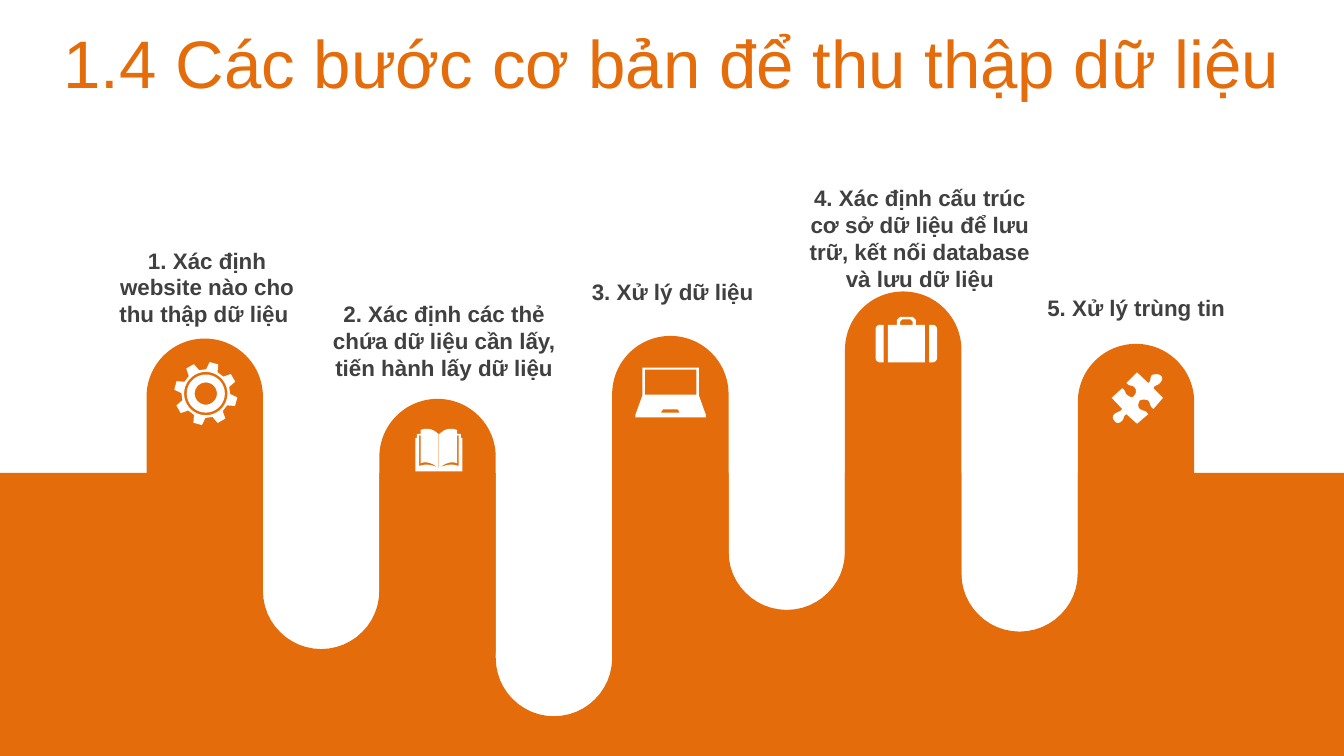
from math import cos, radians, sin

from pptx import Presentation
from pptx.dml.color import RGBColor
from pptx.enum.shapes import MSO_SHAPE as Preset
from pptx.enum.text import MSO_ANCHOR as Anchor, MSO_AUTO_SIZE as AutoSize, PP_ALIGN as Align
from pptx.util import Cm, Pt

ORANGE, WHITE, GREY = "E46C0A", "FFFFFF", "404040"
WIDTH, HEIGHT, HORIZON = 25.4, 14.29, 8.94
COLUMN, FIRST_PILLAR = 2.2, 2.77
PILLARS = [(6.4, 5.79), (7.54, 5.79), (6.35, 5.79), (5.51, 7.04), (6.5, 7.04)]
VALLEY_BOTTOMS = [12.27, 13.54, 11.53, 11.94]
TITLE = "1.4 Các bước cơ bản để thu thập dữ liệu"
STEPS = [
    ("1. Xác định website nào cho thu thập dữ liệu ", 1.91, 4.5, 4.01, 1.85),
    ("2. Xác định các thẻ chứa dữ liệu cần lấy, tiến hành lấy dữ liệu", 6.02, 5.54, 4.75, 1.8),
    ("3. Xử lý dữ liệu", 10.34, 5.13, 4.75, 0.76),
    ("4. Xác định cấu trúc cơ sở dữ liệu để lưu trữ, kết nối database và lưu dữ liệu",
     15.01, 3.35, 4.75, 2.31),
    ("5. Xử lý trùng tin", 19.1, 5.44, 4.75, 0.76),
]


def color(code):
    """Turn a hex string into a colour."""
    return RGBColor.from_string(code)


def paint(shape, fill):
    """Give a shape a plain fill without line or shadow."""
    shape.shadow.inherit = False
    shape.fill.solid()
    shape.fill.fore_color.rgb = color(fill)
    shape.line.fill.background()


def add_preset(shapes, preset, left, top, width, height, fill):
    """Add a plain preset shape."""
    shape = shapes.add_shape(preset, Cm(left), Cm(top), Cm(width), Cm(height))
    paint(shape, fill)
    return shape


def flatten(contour):
    """Sample the cubic curves, written as six numbers, of a contour."""
    points = []
    for step in contour:
        if len(step) == 2:
            points.append(step)
            continue
        corners = [points[-1], step[:2], step[2:4], step[4:]]
        for t in (k / 12 for k in range(1, 13)):
            weights = ((1 - t) ** 3, 3 * t * (1 - t) ** 2, 3 * t * t * (1 - t), t ** 3)
            points.append(tuple(sum(w * corner[axis] for w, corner in zip(weights, corners))
                                for axis in (0, 1)))
    return points


def add_outline(shapes, left, top, contours, fill):
    """Add a freeform whose inner contours are holes."""
    builder = None
    for contour in contours:
        first, *rest = [(Cm(left + x), Cm(top + y)) for x, y in flatten(contour)]
        if builder is None:
            builder = shapes.build_freeform(*first, scale=1.0)
        else:
            builder.move_to(*first)
        builder.add_line_segments(rest, close=True)
    paint(builder.convert_to_shape(), fill)


def mirror(contour, width):
    """Reflect a contour from left to right."""
    return [tuple(width - value if index % 2 == 0 else value for index, value in enumerate(step))
            for step in contour]


def polar(radius, degrees):
    """Return the point at an angle clockwise from the top."""
    return radius * sin(radians(degrees)), -radius * cos(radians(degrees))


def add_label(slide, words, left, top, width, height, auto_size=AutoSize.NONE, **font_values):
    """Add a centred text box."""
    box = slide.shapes.add_textbox(Cm(left), Cm(top), Cm(width), Cm(height))
    frame_values = {"word_wrap": True, "auto_size": auto_size, "vertical_anchor": Anchor.MIDDLE}
    for name, value in frame_values.items():
        setattr(box.text_frame, name, value)
    paragraph = box.text_frame.paragraphs[0]
    paragraph.alignment = Align.CENTER
    run = paragraph.add_run()
    run.text = words
    run.font.color.rgb = color(font_values.pop("ink"))
    for name, value in {"name": "Arial", **font_values}.items():
        setattr(run.font, name, value)


def add_ground(shapes):
    """Add the ground with a rounded valley between neighbouring pillars."""
    radius, pull = COLUMN / 2, 0.45 * COLUMN / 2
    contour = [(0, 0)]
    for index, bottom in enumerate(VALLEY_BOTTOMS):
        left = FIRST_PILLAR + COLUMN * (2 * index + 1)
        right, middle, depth = left + COLUMN, left + radius, bottom - HORIZON
        bend = depth - radius
        contour += [(left, 0), (left, bend),
                    (left, depth - pull, left + pull, depth, middle, depth),
                    (right - pull, depth, right, depth - pull, right, bend), (right, 0)]
    contour += [(WIDTH, 0), (WIDTH, HEIGHT - HORIZON), (0, HEIGHT - HORIZON)]
    add_outline(shapes, 0, HORIZON, [contour], ORANGE)


def add_pillar(shapes, left, top, height):
    """Add a round-ended pillar with its icon disc as a group."""
    group = shapes.add_group_shape()
    pillar = add_preset(group.shapes, Preset.ROUNDED_RECTANGLE, left, top, COLUMN, height, ORANGE)
    pillar.adjustments[0] = 0.5
    add_preset(group.shapes, Preset.OVAL, left + 0.17, top + 0.16, 1.85, 1.85, ORANGE)


def gear():
    """Return the contours of an eight-toothed gear around its centre."""
    teeth = [polar(radius, 15 + 45 * tooth + turn) for tooth in range(8)
             for radius, turn in ((0.46, -14), (0.6, -8), (0.6, 8), (0.46, 14))]
    rings = [[polar(radius, angle) for angle in range(0, 360, 10)] for radius in (0.41, 0.36, 0.21)]
    return [teeth, *rings]


def book():
    """Return the contours of an open book."""
    cover = [(0, 0.18), (0.03, 0.18), (0.03, 0.1), (0.1, 0.1), (0.1, 0.03),
             (0.22, -0.02, 0.34, 0.01, 0.43, 0.1), (0.46, 0.1),
             (0.55, 0.01, 0.67, -0.02, 0.79, 0.03), (0.79, 0.1), (0.86, 0.1), (0.86, 0.18),
             (0.89, 0.18), (0.89, 0.81), (0, 0.81)]
    margin = [(0.07, 0.13), (0.1, 0.13), (0.1, 0.66), (0.2, 0.61, 0.33, 0.66, 0.43, 0.74),
              (0.33, 0.69, 0.2, 0.66, 0.07, 0.71)]
    spine = [(0.44, 0.1), (0.45, 0.1), (0.45, 0.74), (0.44, 0.74)]
    return [cover, margin, mirror(margin, 0.89), spine]


def laptop():
    """Return the contours of a laptop."""
    body = [(0.13, 0), (1.2, 0), (1.2, 0.53), (1.33, 0.89), (1.33, 0.94), (0, 0.94),
            (0, 0.89), (0.13, 0.53)]
    screen = [(0.18, 0.04), (1.15, 0.04), (1.15, 0.51), (0.18, 0.51)]
    touchpad = [(0.52, 0.79), (0.48, 0.85), (0.84, 0.85), (0.8, 0.79)]
    return [body, screen, touchpad]


def briefcase():
    """Return the contours of a briefcase."""
    middle = [(0.23, 0.15), (0.4, 0.15), (0.4, 0.06), (0.46, 0), (0.7, 0), (0.76, 0.06),
              (0.76, 0.15), (0.93, 0.15), (0.93, 0.86), (0.23, 0.86)]
    handle = [(0.46, 0.15), (0.46, 0.09), (0.5, 0.05), (0.66, 0.05), (0.7, 0.09), (0.7, 0.15)]
    side = [(0.15, 0.15), (0.15, 0.86), (0.08, 0.86), (0.04, 0.86, 0, 0.82, 0, 0.78),
            (0, 0.23), (0, 0.19, 0.04, 0.15, 0.08, 0.15)]
    return [middle, handle, side, mirror(side, 1.16)]


def puzzle():
    """Return the contour of a tilted puzzle piece."""
    return [[(0.91, 0.05), (0.97, 0.08, 0.97, 0.15, 0.91, 0.2), (0.89, 0.25, 0.81, 0.23, 0.79, 0.3),
             (0.97, 0.48), (0.79, 0.69), (0.71, 0.64, 0.74, 0.58, 0.69, 0.53),
             (0.64, 0.51, 0.58, 0.51, 0.53, 0.53), (0.51, 0.58, 0.48, 0.64, 0.53, 0.69),
             (0.61, 0.74, 0.64, 0.71, 0.69, 0.79), (0.48, 0.97), (0.28, 0.79),
             (0.2, 0.84, 0.25, 0.86, 0.2, 0.91), (0.15, 0.97, 0.08, 0.97, 0.05, 0.91),
             (0.03, 0.89, 0, 0.84, 0.05, 0.79), (0.1, 0.74, 0.15, 0.76, 0.2, 0.69),
             (0, 0.48), (0.2, 0.3), (0.28, 0.36, 0.25, 0.41, 0.3, 0.43),
             (0.36, 0.48, 0.41, 0.48, 0.43, 0.43), (0.46, 0.41, 0.48, 0.33, 0.43, 0.28),
             (0.38, 0.23, 0.36, 0.28, 0.28, 0.2), (0.48, 0), (0.69, 0.2),
             (0.76, 0.15, 0.71, 0.13, 0.76, 0.05), (0.81, 0.03, 0.89, 0.03, 0.91, 0.05)]]


def main():
    """Build the slide and save it."""
    deck = Presentation()
    deck.slide_width, deck.slide_height = Cm(WIDTH), Cm(HEIGHT)
    slide = deck.slides.add_slide(deck.slide_layouts[6])
    shapes = slide.shapes
    add_preset(shapes, Preset.RECTANGLE, 0, 13.54, WIDTH, 0.75, ORANGE)
    add_label(slide, TITLE, 0, 0.36, WIDTH, 1.6, size=Pt(36), ink=ORANGE)
    add_ground(shapes)
    for index, (top, height) in enumerate(PILLARS):
        add_pillar(shapes, FIRST_PILLAR + 2 * COLUMN * index, top, height)
    icons = [(gear(), 3.89, 7.44), (book(), 7.85, 8.1), (laptop(), 12.01, 6.95),
             (briefcase(), 16.55, 5.99), (puzzle(), 21.01, 7.04)]
    for contours, left, top in icons:
        add_outline(shapes, left, top, contours, WHITE)
    for step in STEPS:
        add_label(slide, *step, auto_size=AutoSize.SHAPE_TO_FIT_TEXT,
                  size=Pt(12), bold=True, ink=GREY)
    deck.save("out.pptx")


if __name__ == "__main__":
    main()
